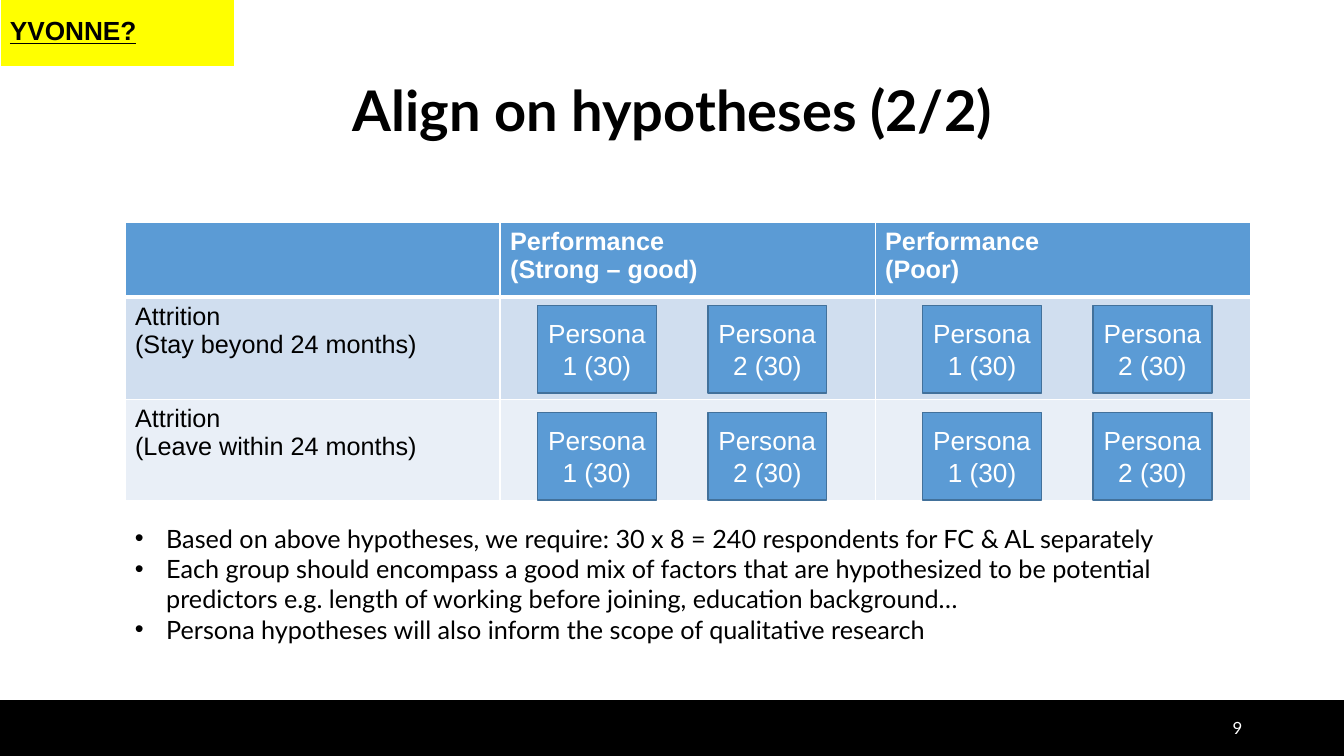
from dataclasses import dataclass
from itertools import product

from lxml import etree
from pptx import Presentation
from pptx import util as u
from pptx.dml.color import RGBColor
from pptx.enum import shapes, text
from pptx.oxml.ns import qn


@dataclass(frozen=True)
class Theme:
    black: str = "000000"
    white: str = "FFFFFF"
    blue: str = "5B9BD5"
    edge: str = "42719B"
    pale: str = "D0DEEF"
    mist: str = "E9EFF7"
    yellow: str = "FFFF00"
    sans: str = "Arial"
    lato: str = "Lato"
    title: float = 40
    body: float = 18
    label: float = 18.7
    small: float = 12


@dataclass(frozen=True)
class Box:
    left: float
    top: float
    width: float
    height: float

    def span(self) -> tuple:
        return tuple(map(u.Inches, (self.left, self.top, self.width, self.height)))


@dataclass(frozen=True)
class Row:
    height: float
    fill: str
    cells: tuple
    ink: str = "000000"
    bold: bool = False
    base: int = 1


T = Theme()
MID = text.MSO_ANCHOR.MIDDLE
LEFT, CENTER, RIGHT = text.PP_ALIGN.LEFT, text.PP_ALIGN.CENTER, text.PP_ALIGN.RIGHT

COL = 3.72
ROWS = (
    Row(0.74, T.blue, ("", "Performance\n(Strong – good)", "Performance\n(Poor)"),
        T.white, True, 3),
    Row(1.01, T.pale, ("Attrition\n(Stay beyond 24 months)", "", "")),
    Row(1.01, T.mist, ("Attrition\n(Leave within 24 months)", "", "")),
)
NOTES = (
    "Based on above hypotheses, we require: 30 x 8 = 240 respondents for FC & AL separately",
    "Each group should encompass a good mix of factors that are hypothesized to be potential "
    "predictors e.g. length of working before joining, education background…",
    "Persona hypotheses will also inform the scope of qualitative research",
)


def write(frame, words: str, *, size: float, font: str = T.sans, ink: str = T.black,
          bold: bool = False, line: bool = False, align=LEFT, anchor=None,
          space: float = 1, bullet: bool = False) -> None:
    """Fill a text frame, one paragraph for each line of words."""
    frame.word_wrap = True
    if anchor is not None:
        frame.vertical_anchor = anchor
    for i, part in enumerate(words.split("\n")):
        para = frame.add_paragraph() if i else frame.paragraphs[0]
        para.alignment, para.line_spacing = align, space
        run = para.add_run()
        run.text = part
        face = run.font
        face.name, face.size = font, u.Pt(size)
        face.bold, face.underline = bold, line
        face.color.rgb = RGBColor.from_string(ink)
        if bullet:
            mark(para)


def mark(para) -> None:
    """Give a paragraph a hanging bullet."""
    props = para._p.get_or_add_pPr()
    props.set("marL", str(u.Inches(0.31)))
    props.set("indent", str(-u.Inches(0.31)))
    etree.SubElement(props, qn("a:buFont")).set("typeface", T.sans)
    etree.SubElement(props, qn("a:buChar")).set("char", "•")


def block(slide, box: Box, fill: str, edge: str):
    item = slide.shapes.add_shape(shapes.MSO_SHAPE.RECTANGLE, *box.span())
    item.shadow.inherit = False
    item.fill.solid()
    item.fill.fore_color.rgb = RGBColor.from_string(fill)
    item.line.color.rgb = RGBColor.from_string(edge)
    item.line.width = u.Pt(1)
    return item.text_frame


def label(slide, box: Box):
    return slide.shapes.add_textbox(*box.span()).text_frame


def rule(cell, base: int) -> None:
    """Draw white cell borders, with the bottom one base points wide."""
    props = cell._tc.get_or_add_tcPr()
    for i, (side, width) in enumerate(zip("LRTB", (1, 1, 1, base))):
        edge = etree.Element(qn(f"a:ln{side}"), w=str(u.Pt(width)))
        fill = etree.SubElement(edge, qn("a:solidFill"))
        etree.SubElement(fill, qn("a:srgbClr")).set("val", T.white)
        props.insert(i, edge)


def grid(slide, left: float, top: float) -> None:
    count = len(ROWS[0].cells)
    box = Box(left, top, COL * count, sum(r.height for r in ROWS))
    table = slide.shapes.add_table(len(ROWS), count, *box.span()).table
    for col in table.columns:
        col.width = u.Inches(COL)
    above = 1
    for r, row in enumerate(ROWS):
        table.rows[r].height = u.Inches(row.height)
        for c, words in enumerate(row.cells):
            cell = table.cell(r, c)
            cell.fill.solid()
            cell.fill.fore_color.rgb = RGBColor.from_string(row.fill)
            rule(cell, row.base)
            cell._tc.tcPr.find(qn("a:lnT")).set("w", str(u.Pt(above)))
            if words:
                write(cell.text_frame, words, size=T.body, ink=row.ink, bold=row.bold)
        above = row.base


def main() -> None:
    deck = Presentation()
    deck.slide_width, deck.slide_height = u.Inches(13.33), u.Inches(7.5)
    slide = deck.slides.add_slide(deck.slide_layouts[6])

    block(slide, Box(0, 6.95, 13.33, 0.55), T.black, T.black)
    write(label(slide, Box(0.92, 0.4, 11.5, 1.45)), "Align on hypotheses (2/2)",
          size=T.title, font=T.lato, bold=True, align=CENTER, anchor=MID, space=0.9)
    write(label(slide, Box(9.42, 7.02, 3, 0.4)), "9",
          size=T.small, font=T.lato, ink=T.white, align=RIGHT, anchor=MID)

    grid(slide, 1.24, 2.21)
    for left, top, (i, name) in product((5.33, 9.15), (3.03, 4.09),
                                        enumerate(("Persona 1 (30)", "Persona 2 (30)"))):
        frame = block(slide, Box(left + 1.69 * i, top, 1.18, 0.87), T.blue, T.edge)
        write(frame, name, size=T.label, ink=T.white, align=CENTER, anchor=MID)

    write(label(slide, Box(1.24, 5.14, 11.17, 1.31)), "\n".join(NOTES),
          size=T.body, font=T.lato, bullet=True)
    write(block(slide, Box(0, -0.06, 2.33, 0.72), T.yellow, T.white), "YVONNE?",
          size=T.label, bold=True, line=True, anchor=MID)
    deck.save("out.pptx")


if __name__ == "__main__":
    main()
